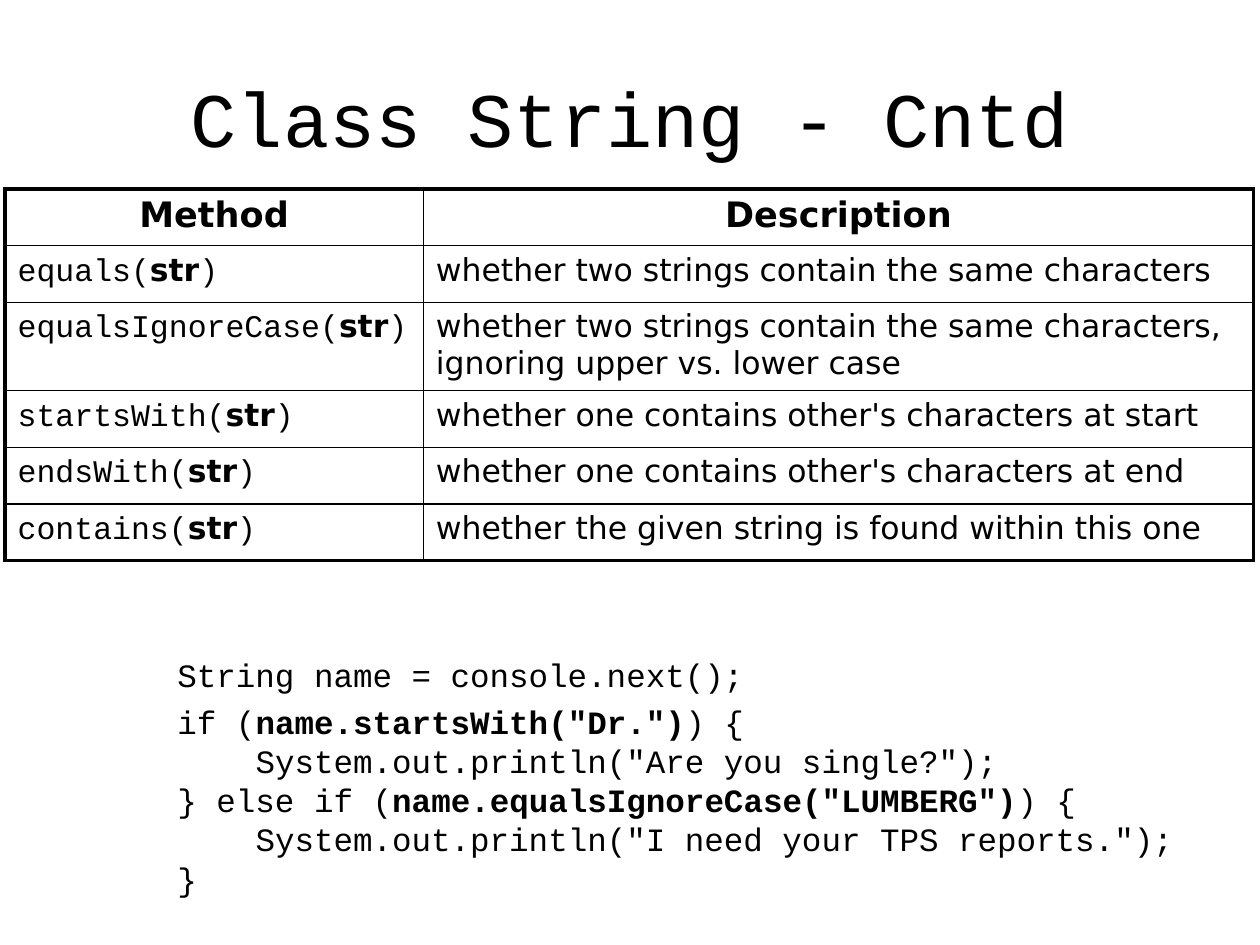
from lxml.etree import SubElement
from pptx import Presentation
from pptx.dml.color import RGBColor
from pptx.enum.text import MSO_ANCHOR, PP_ALIGN
from pptx.oxml.ns import qn
from pptx.util import Inches, Pt

COLORS = {"text": "000000", "border": "000000", "background": "FFFFFF"}
MONO = "Courier New"
SANS = "DejaVu Sans"
CODE_SIZE = 18.6

METHODS = [
    ("equals", "whether two strings contain the same characters"),
    ("equalsIgnoreCase", "whether two strings contain the same characters, "
                         "ignoring upper vs. lower case"),
    ("startsWith", "whether one contains other's characters at start"),
    ("endsWith", "whether one contains other's characters at end"),
    ("contains", "whether the given string is found within this one"),
]

# Each line: indent depth, then (text, bold) runs
CODE = [
    (0, [("String name = console.next();", False)]),
    (0, [("if (", False), ('name.startsWith("Dr.")', True), (") {", False)]),
    (1, [('System.out.println("Are you single?");', False)]),
    (0, [("} else if (", False), ('name.equalsIgnoreCase("LUMBERG")', True),
         (") {", False)]),
    (1, [('System.out.println("I need your TPS reports.");', False)]),
    (0, [("}", False)]),
]


def add_run(paragraph, text, size, font, bold=False):
    """Append one formatted run."""
    run = paragraph.add_run()
    run.text = text
    run.font.size = Pt(size)
    run.font.name = font
    run.font.bold = bold
    run.font.color.rgb = RGBColor.from_string(COLORS["text"])


def set_title(slide, text):
    """Place and format the title placeholder."""
    title = slide.shapes.title
    title.left, title.top = Inches(0.5), Inches(0.3)
    title.width, title.height = Inches(9), Inches(1.25)
    title.text_frame.vertical_anchor = MSO_ANCHOR.MIDDLE
    paragraph = title.text_frame.paragraphs[0]
    paragraph.alignment = PP_ALIGN.CENTER
    add_run(paragraph, text, 44, MONO)


def set_borders(cell, widths):
    """Draw cell borders; widths are points for left, right, top, bottom."""
    properties = cell._tc.get_or_add_tcPr()
    for index, (side, width) in enumerate(zip("LRTB", widths)):
        line = SubElement(properties, qn(f"a:ln{side}"), w=str(Pt(width)))
        fill = SubElement(line, qn("a:solidFill"))
        SubElement(fill, qn("a:srgbClr"), val=COLORS["border"])
        properties.insert(index, line)


def fill_cell(cell, runs, alignment):
    """Write runs of (text, size, font, bold) into an unfilled cell."""
    cell.fill.background()
    paragraph = cell.text_frame.paragraphs[0]
    paragraph.alignment = alignment
    for run in runs:
        add_run(paragraph, *run)


def add_method_table(slide):
    """Add the table of methods with a heavy outline and thin inner lines."""
    rows = [[[(heading, 20, SANS, True)] for heading in ("Method", "Description")]]
    for name, description in METHODS:
        rows.append([
            [(name + "(", 18, MONO), ("str", 18, SANS, True), (")", 18, MONO)],
            [(description, 18, SANS)],
        ])
    last = len(rows) - 1
    table = slide.shapes.add_table(len(rows), 2, Inches(0.04), Inches(1.5),
                                   Inches(9.91), Inches(2.93)).table
    table.first_row = table.horz_banding = False
    for column, width in zip(table.columns, (3.32, 6.59)):
        column.width = Inches(width)
    for row_index, row in enumerate(rows):
        table.rows[row_index].height = Inches(0.68 if row_index == 2 else 0.45)
        alignment = PP_ALIGN.LEFT if row_index else PP_ALIGN.CENTER
        for column_index, runs in enumerate(row):
            cell = table.cell(row_index, column_index)
            fill_cell(cell, runs, alignment)
            outer = (column_index == 0, column_index == 1,
                     row_index == 0, row_index == last)
            set_borders(cell, [2.25 if edge else 1 for edge in outer])


def add_code(slide):
    """Add the code sample, one paragraph per line."""
    box = slide.shapes.add_textbox(Inches(1.31), Inches(5.15),
                                   Inches(8.3), Inches(2))
    frame = box.text_frame
    frame.word_wrap = True
    for index, (depth, runs) in enumerate(CODE):
        paragraph = frame.add_paragraph() if index else frame.paragraphs[0]
        paragraph.line_spacing = Pt(22.4)
        paragraph.space_before = Pt(4.2 if index == 1 else 0)
        paragraph._p.get_or_add_pPr().set("marL", str(Inches(0.62 * depth)))
        for text, bold in runs:
            add_run(paragraph, text, CODE_SIZE, MONO, bold)


def main():
    """Build the slide and save it."""
    presentation = Presentation()
    presentation.slide_width = Inches(10)
    presentation.slide_height = Inches(7.5)
    slide = presentation.slides.add_slide(presentation.slide_layouts[5])
    slide.background.fill.solid()
    slide.background.fill.fore_color.rgb = RGBColor.from_string(COLORS["background"])
    set_title(slide, "Class String - Cntd")
    add_code(slide)
    add_method_table(slide)
    presentation.save("out.pptx")


main()
